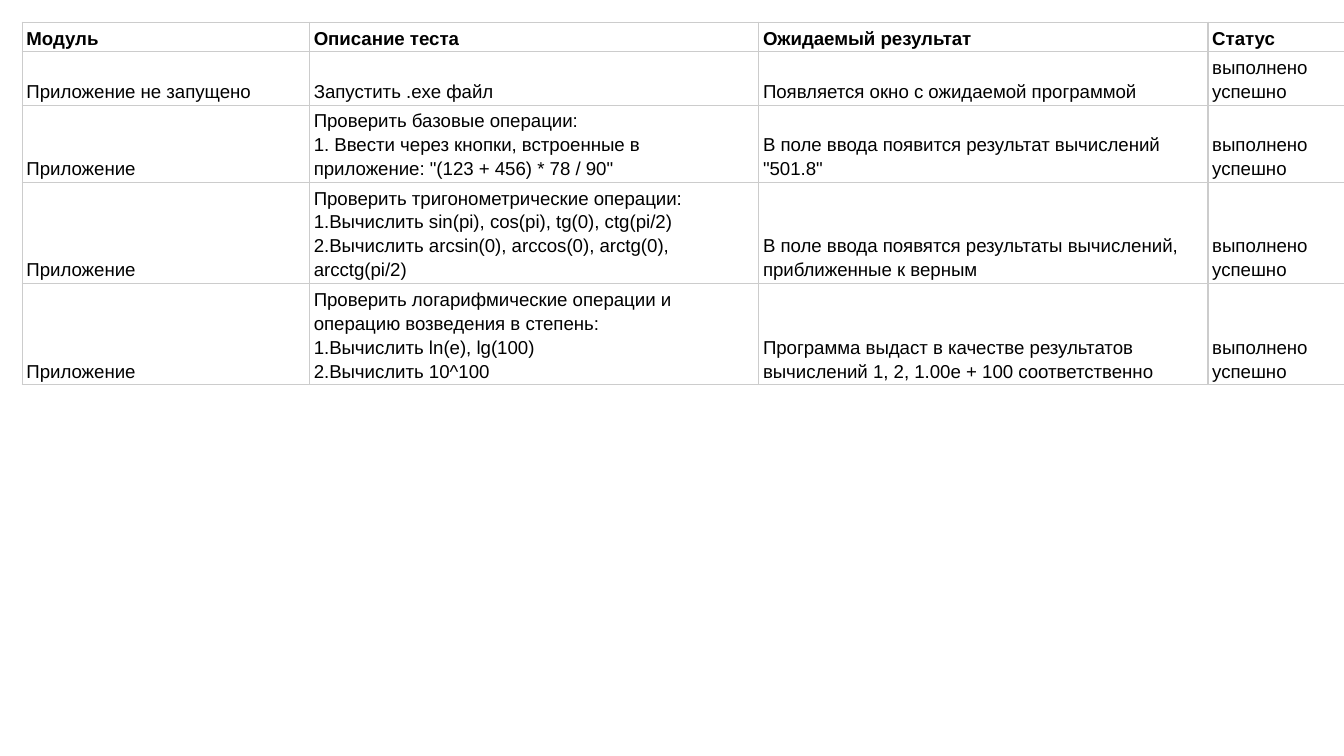
from dataclasses import dataclass

from lxml import etree
from pptx import Presentation
from pptx.dml.color import RGBColor
from pptx.enum.text import MSO_ANCHOR
from pptx.oxml.ns import qn
from pptx.util import Cm, Pt

BOTTOM = MSO_ANCHOR.BOTTOM


@dataclass(frozen=True)
class Theme:
    """Colours, type and line sizes of the deck."""
    font: str = "Arial"
    size: float = 10
    spacing: float = 1.15
    text: str = "000000"
    border: str = "CCCCCC"
    border_width: float = 0.75


THEME = Theme()
PASSED = "выполнено успешно"
HEADER = ("Модуль", "Описание теста", "Ожидаемый результат", "Статус")
TESTS = [
    ("Приложение не запущено",
     "Запустить .exe файл",
     "Появляется окно с ожидаемой программой"),
    ("Приложение",
     "Проверить базовые операции:\n"
     "1. Ввести через кнопки, встроенные в приложение: "
     "\"(123 + 456) * 78 / 90\"",
     "В поле ввода появится результат вычислений \"501.8\""),
    ("Приложение",
     "Проверить тригонометрические операции:\n"
     "1.Вычислить sin(pi), cos(pi), tg(0), ctg(pi/2)\n"
     "2.Вычислить arcsin(0), arccos(0), arctg(0), arcctg(pi/2)",
     "В поле ввода появятся результаты вычислений, приближенные к верным"),
    ("Приложение",
     "Проверить логарифмические операции и операцию возведения в степень:\n"
     "1.Вычислить ln(e), lg(100)\n"
     "2.Вычислить 10^100",
     "Программа выдаст в качестве результатов вычислений "
     "1, 2, 1.00е + 100 соответственно"),
]
COL_WIDTHS = (5.43, 8.49, 8.49, 2.97)
ROW_HEIGHTS = (0.56, 0.56, 0.91, 1.32, 1.73)


def add_borders(cell):
    """Draw a thin line on all four sides of a cell."""
    tc_pr = cell._tc.get_or_add_tcPr()
    for side in ("a:lnL", "a:lnR", "a:lnT", "a:lnB"):
        ln = etree.SubElement(tc_pr, qn(side), w=str(Pt(THEME.border_width)))
        fill = etree.SubElement(ln, qn("a:solidFill"))
        etree.SubElement(fill, qn("a:srgbClr"), val=THEME.border)


def fill_cell(cell, text, bold):
    """Write and format the text of one cell."""
    cell.margin_left = cell.margin_right = Cm(0.08)
    cell.margin_top = cell.margin_bottom = Cm(0.05)
    cell.vertical_anchor = BOTTOM
    add_borders(cell)
    cell.fill.background()
    cell.text_frame.text = text
    for p in cell.text_frame.paragraphs:
        p.line_spacing = THEME.spacing
        p.font.name = THEME.font
        p.font.size = Pt(THEME.size)
        p.font.bold = bold
        p.font.color.rgb = RGBColor.from_string(THEME.text)


def add_test_table(s, left, top, col_widths, row_heights):
    """Place the test table with its corner at left, top in centimetres."""
    rows = [HEADER] + [(*test, PASSED) for test in TESTS]
    table = s.shapes.add_table(
        len(rows), len(HEADER), Cm(left), Cm(top),
        Cm(sum(col_widths)), Cm(sum(row_heights))).table
    table.first_row = True
    table.horz_banding = False
    for col, width in zip(table.columns, col_widths):
        col.width = Cm(width)
    for row, height, texts in zip(table.rows, row_heights, rows):
        row.height = Cm(height)
        for cell, text in zip(row.cells, texts):
            fill_cell(cell, text, texts is HEADER)


def main():
    """Build the slide and save it."""
    prs = Presentation()
    prs.slide_width, prs.slide_height = Cm(25.4), Cm(14.29)
    s = prs.slides.add_slide(prs.slide_layouts[6])
    add_test_table(s, 0.42, 0.42, COL_WIDTHS, ROW_HEIGHTS)
    prs.save("out.pptx")


if __name__ == "__main__":
    main()
